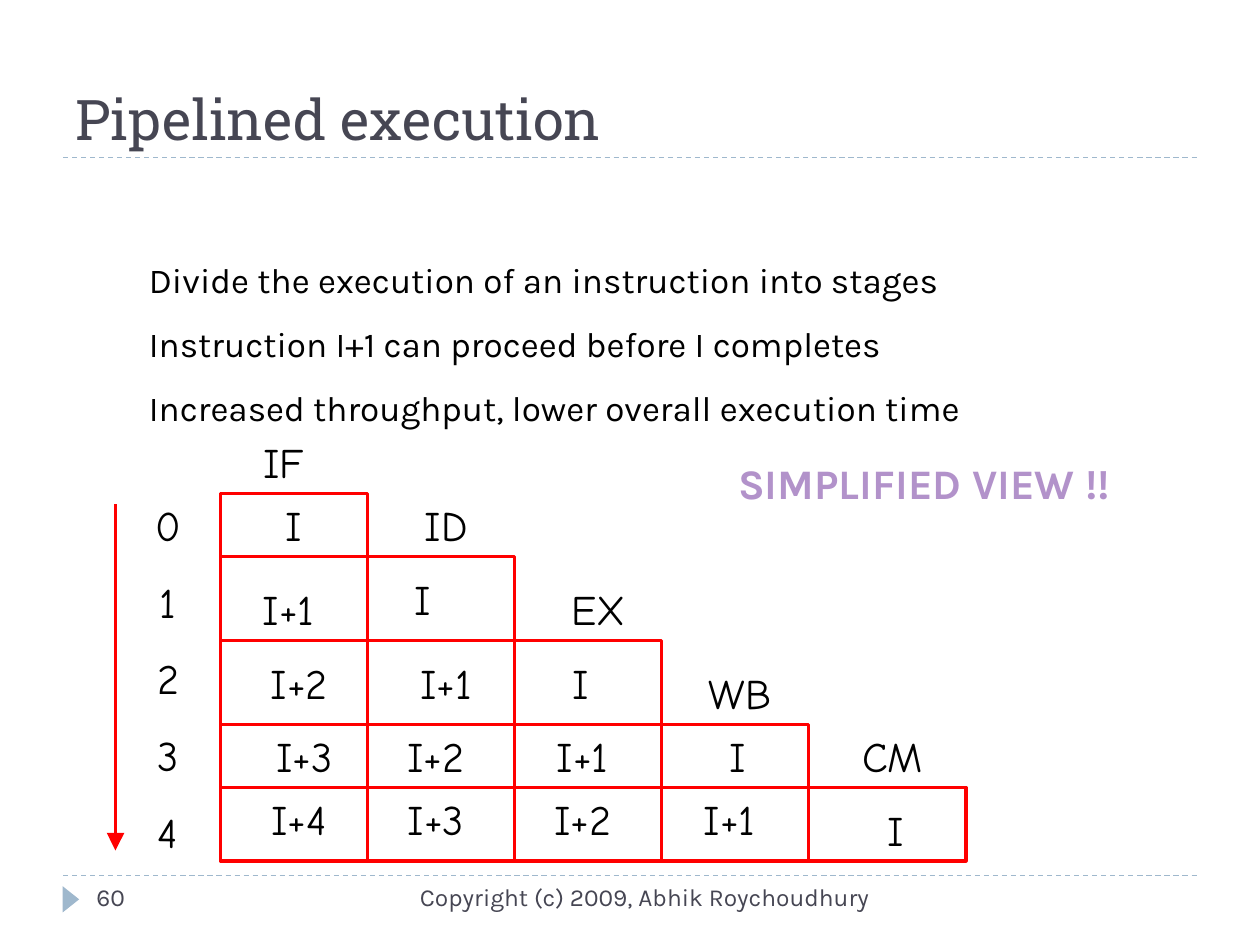
from pptx import Presentation
from pptx.dml.color import RGBColor
from pptx.enum.dml import MSO_LINE
from pptx.enum.shapes import MSO_CONNECTOR, MSO_SHAPE
from pptx.enum.text import MSO_ANCHOR, PP_ALIGN
from pptx.oxml.ns import qn
from pptx.util import Pt
from lxml import etree

STRAIGHT = MSO_CONNECTOR.STRAIGHT
RECTANGLE, TRIANGLE = MSO_SHAPE.RECTANGLE, MSO_SHAPE.ISOSCELES_TRIANGLE
DASH = MSO_LINE.DASH
TOP, BOTTOM = MSO_ANCHOR.TOP, MSO_ANCHOR.BOTTOM
LEFT, CENTER, RIGHT = PP_ALIGN.LEFT, PP_ALIGN.CENTER, PP_ALIGN.RIGHT

BLACK = RGBColor(0x00, 0x00, 0x00)
RED = RGBColor(0xFF, 0x00, 0x00)
SLATE = RGBColor(0x46, 0x46, 0x53)
PALE_BLUE = RGBColor(0x9F, 0xB8, 0xCD)
LILAC = RGBColor(0xB2, 0x92, 0xCA)
HEAD_FONT, BODY_FONT, HAND_FONT = "Roboto Slab", "Karla", "Comic Neue"

STAGE_EDGES = [0, 84, 168, 252, 336, 426]
CYCLE_TOPS = [0, 36, 84, 132, 168]
STAGE_LABELS = [("IF", 0, -36, 72), ("ID", 102, 0, 54), ("EX", 186, 48, 60),
                ("WB", 264, 96, 66), ("CM", 354, 132, 60)]
INSTRUCTION_LABELS = [
    ("I", 12, 0, 60),
    ("I+1", 6, 48, 66), ("I", 91.7, 42, 48),
    ("I+2", 18, 90, 54), ("I+1", 96, 90, 66), ("I", 181.7, 90, 48),
    ("I+3", 18, 132, 60), ("I+2", 93, 132, 60), ("I+1", 174, 132, 66),
    ("I", 271.7, 132, 48),
    ("I+4", 15, 168, 60), ("I+3", 93, 168, 60), ("I+2", 177, 168, 60),
    ("I+1", 258, 168, 66), ("I", 361.7, 174, 48),
]


def add_text(s, lines, x, y, w, h, font, size, color=BLACK, align=LEFT,
             anchor=TOP, gap=0, bold=False):
    """Place a text box with one paragraph for each line."""
    tf = s.shapes.add_textbox(Pt(x), Pt(y), Pt(w), Pt(h)).text_frame
    tf.word_wrap = True
    tf.vertical_anchor = anchor
    for i, line in enumerate(lines):
        p = tf.paragraphs[0] if i == 0 else tf.add_paragraph()
        p.text = line
        p.alignment = align
        if i:
            p.space_before = Pt(gap)
        p.font.name, p.font.size, p.font.bold = font, Pt(size), bold
        p.font.color.rgb = color


def add_line(s, x1, y1, x2, y2, color, width):
    """Place a straight line without a shadow and return it."""
    line = s.shapes.add_connector(STRAIGHT, Pt(x1), Pt(y1), Pt(x2), Pt(y2))
    line.line.color.rgb = color
    line.line.width = Pt(width)
    etree.SubElement(line._element.spPr, qn("a:effectLst"))
    return line


def add_rule(s, x, y, w):
    """Place a dashed horizontal rule."""
    add_line(s, x, y, x + w, y, PALE_BLUE, 0.75).line.dash_style = DASH


def add_title(s, x, y, w, h):
    """Place the title and the rule along its lower edge."""
    add_rule(s, x, y + h, w)
    add_text(s, ["Pipelined execution"], x, y, w, h, HEAD_FONT, 32, SLATE, anchor=BOTTOM)


def add_footer(s, x, y, w, h):
    """Place the footer rule, page marker, page number and copyright."""
    add_rule(s, x, y, w)
    sp = s.shapes.add_shape(TRIANGLE, Pt(x - 3), Pt(y + 8.8), Pt(15), Pt(9.4))
    sp.rotation = 90
    sp.shadow.inherit = False
    sp.fill.solid()
    sp.fill.fore_color.rgb = PALE_BLUE
    sp.line.fill.background()
    add_text(s, ["Copyright (c) 2009, Abhik Roychoudhury"], x + 192, y, 276, h,
             BODY_FONT, 14, SLATE, RIGHT)
    add_text(s, ["60"], x + 12, y, 156, h, BODY_FONT, 14, SLATE)


def add_points(s, x, y, w, h):
    """Place the statements about pipelining."""
    add_text(s, ["Divide the execution of an instruction into stages",
                 "Instruction I+1 can proceed before I completes",
                 "Increased throughput, lower overall execution time"],
             x, y, w, h, BODY_FONT, 20, gap=12.5)


def add_time_axis(s, x, y, h):
    """Place the downward time arrow and the cycle numbers beside it."""
    arrow = add_line(s, x, y + 6, x, y + h - 7.6, RED, 2)
    etree.SubElement(arrow.line._get_or_add_ln(), qn("a:tailEnd"),
                     type="triangle", w="lg", len="lg")
    add_text(s, [str(n) for n in range(5)], x + 6, y, 48, h, HAND_FONT, 24,
             align=CENTER, gap=15)


def add_pipeline(s, x, y, h):
    """Place the staircase of stages with its cycle lines and labels."""
    for left, right, top in zip(STAGE_EDGES, STAGE_EDGES[1:], CYCLE_TOPS):
        sp = s.shapes.add_shape(RECTANGLE, Pt(x + left), Pt(y + top),
                                Pt(right - left), Pt(h - top))
        sp.shadow.inherit = False
        sp.fill.background()
        sp.line.color.rgb = RED
        sp.line.width = Pt(2)
    for right, top in zip(STAGE_EDGES[1:], CYCLE_TOPS[1:]):
        add_line(s, x, y + top, x + right, y + top, RED, 2)
    for label, left, top, w in INSTRUCTION_LABELS + STAGE_LABELS:
        add_text(s, [label], x + left, y + top, w, 36, HAND_FONT, 24, align=CENTER)


def main():
    """Build the slide and save it."""
    prs = Presentation()
    prs.slide_width, prs.slide_height = Pt(720), Pt(540)
    s = prs.slides.add_slide(prs.slide_layouts[6])
    add_title(s, 36, 12, 648, 78)
    add_footer(s, 36, 500.4, 648, 28.8)
    add_points(s, 78, 144, 618, 104.4)
    add_pipeline(s, 126, 282, 210)
    add_time_axis(s, 66, 282, 211.6)
    add_text(s, ["SIMPLIFIED VIEW !!"], 408, 258, 240, 36, BODY_FONT, 24, LILAC,
             CENTER, bold=True)
    prs.save("out.pptx")


if __name__ == "__main__":
    main()
